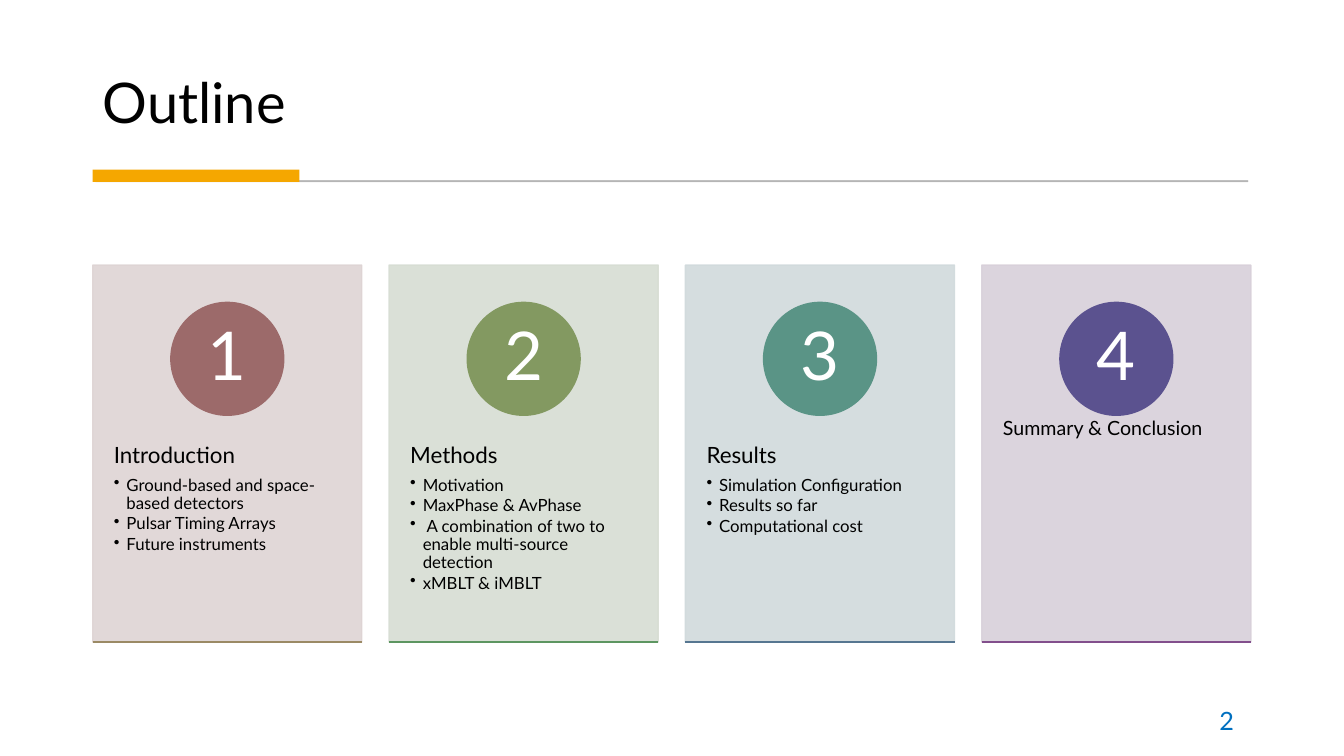
import pptx
import pptx.dml.color
import pptx.enum.shapes
import pptx.enum.text
import pptx.oxml.ns
import pptx.oxml.xmlchemy
import pptx.util

BLACK = pptx.dml.color.RGBColor(0x00, 0x00, 0x00)
WHITE = pptx.dml.color.RGBColor(0xFF, 0xFF, 0xFF)
GRAY = pptx.dml.color.RGBColor(0x59, 0x59, 0x59)
GOLD = pptx.dml.color.RGBColor(0xF5, 0xA7, 0x00)
BLUE = pptx.dml.color.RGBColor(0x00, 0x70, 0xC0)
ROSE = pptx.dml.color.RGBColor(0xDE, 0xD4, 0xD4)
SAGE = pptx.dml.color.RGBColor(0xD7, 0xDD, 0xD3)
MIST = pptx.dml.color.RGBColor(0xD1, 0xDA, 0xDC)
LILAC = pptx.dml.color.RGBColor(0xD8, 0xD0, 0xDA)
BRICK = pptx.dml.color.RGBColor(0x9C, 0x6A, 0x6A)
OLIVE = pptx.dml.color.RGBColor(0x83, 0x99, 0x61)
TEAL = pptx.dml.color.RGBColor(0x5A, 0x94, 0x86)
INDIGO = pptx.dml.color.RGBColor(0x5B, 0x52, 0x8F)
SAND = pptx.dml.color.RGBColor(0x9B, 0x8A, 0x65)
GREEN = pptx.dml.color.RGBColor(0x5D, 0x96, 0x61)
STEEL = pptx.dml.color.RGBColor(0x56, 0x76, 0x91)
PLUM = pptx.dml.color.RGBColor(0x82, 0x4F, 0x8C)

FONT = "Lato"
TITLE = "Outline"
PAGE = "2"
CARDS = [
    ("Introduction", 16, ROSE, BRICK, SAND, [
        "Ground-based and space-based detectors",
        "Pulsar Timing Arrays",
        "Future instruments"]),
    ("Methods", 16, SAGE, OLIVE, GREEN, [
        "Motivation",
        "MaxPhase & AvPhase",
        " A combination of two to enable multi-source detection",
        "xMBLT & iMBLT"]),
    ("Results", 16, MIST, TEAL, STEEL, [
        "Simulation Configuration",
        "Results so far",
        "Computational cost"]),
    ("Summary & Conclusion", 14, LILAC, INDIGO, PLUM, []),
]

LEFT, TOP = 66.24, 189.36
WIDE, HIGH = 192.24, 269.28
STEP = 211.68
DISC, LABEL = 80.64, 56.88

Pt = pptx.util.Pt
RECT = pptx.enum.shapes.MSO_SHAPE.RECTANGLE
OVAL = pptx.enum.shapes.MSO_SHAPE.OVAL
ALIGN = pptx.enum.text.PP_ALIGN
ANCHOR = pptx.enum.text.MSO_ANCHOR

deck = pptx.Presentation()
deck.slide_width, deck.slide_height = Pt(960), Pt(540)
slide = deck.slides.add_slide(deck.slide_layouts[6])


def fade(shape, alpha):
    for color in shape._element.spPr.iter(pptx.oxml.ns.qn("a:srgbClr")):
        node = pptx.oxml.xmlchemy.OxmlElement("a:alpha")
        node.set("val", str(alpha * 1000))
        color.append(node)


def block(kind, at, fill, line=0, alpha=100):
    shape = slide.shapes.add_shape(kind, *map(Pt, at))
    shape.shadow.inherit = False
    shape.fill.solid()
    shape.fill.fore_color.rgb = fill
    if line:
        shape.line.color.rgb = fill
        shape.line.width = Pt(line)
    else:
        shape.line.fill.background()
    if alpha < 100:
        fade(shape, alpha)


def rule(x, y, width, color):
    line = slide.shapes.add_connector(
        pptx.enum.shapes.MSO_CONNECTOR.STRAIGHT,
        Pt(x), Pt(y), Pt(x + width), Pt(y))
    line.line.color.rgb = color
    line.line.width = Pt(1)
    line._element.spPr.append(pptx.oxml.xmlchemy.OxmlElement("a:effectLst"))


def frame(at, inset=(7.2, 3.6), anchor=ANCHOR.TOP):
    body = slide.shapes.add_textbox(*map(Pt, at)).text_frame
    body.word_wrap = True
    body.vertical_anchor = anchor
    body.margin_left = body.margin_right = Pt(inset[0])
    body.margin_top = body.margin_bottom = Pt(inset[1])
    return body


def write(body, text, size=12, color=BLACK, align=ALIGN.LEFT,
          lead=0.9, after=0, bullet=False):
    para = body.paragraphs[0] if not body.text else body.add_paragraph()
    if bullet:
        para.level = 1
        props = para._p.get_or_add_pPr()
        props.set("marL", str(Pt(9)))
        props.set("indent", str(-Pt(9)))
        mark = pptx.oxml.xmlchemy.OxmlElement("a:buChar")
        mark.set("char", "•")
        props.append(mark)
    para.alignment = align
    para.line_spacing = lead
    para.space_after = Pt(after)
    run = para.add_run()
    run.text = text
    run.font.name = FONT
    run.font.size = Pt(size)
    run.font.color.rgb = color


def card(index, head, size, fill, disc, edge, items):
    x = LEFT + index * STEP
    block(RECT, (x, TOP, WIDE, HIGH), fill, line=1, alpha=90)
    body = frame((x, 291.6, WIDE, 162), inset=(15.12, 25.92))
    write(body, head, size=size, after=size * 0.35)
    for item in items:
        write(body, item, after=1.8, bullet=True)
    mid = x + WIDE / 2
    block(OVAL, (mid - DISC / 2, 216, DISC, DISC), disc, line=1)
    spot = (mid - LABEL / 2, 216 + (DISC - LABEL) / 2, LABEL, LABEL)
    body = frame(spot, inset=(6.48, 0.72), anchor=ANCHOR.MIDDLE)
    write(body, str(index + 1), size=48, color=WHITE, align=ALIGN.CENTER)
    rule(x, TOP + HIGH, WIDE, edge)


def main():
    write(frame((LEFT, 20.16, 827.28, 79.92), anchor=ANCHOR.BOTTOM),
          TITLE, size=40)
    block(RECT, (68.4, 129, 822.96, 0.72), GRAY, line=0.75, alpha=30)
    block(RECT, (LEFT, 121.2, 147.6, 8.64), GOLD)
    for index, parts in enumerate(CARDS):
        card(index, *parts)
    write(frame((672.48, 500.4, 216, 28.8), anchor=ANCHOR.MIDDLE),
          PAGE, size=18, color=BLUE, align=ALIGN.RIGHT, lead=1.0)
    deck.save("out.pptx")


if __name__ == "__main__":
    main()
